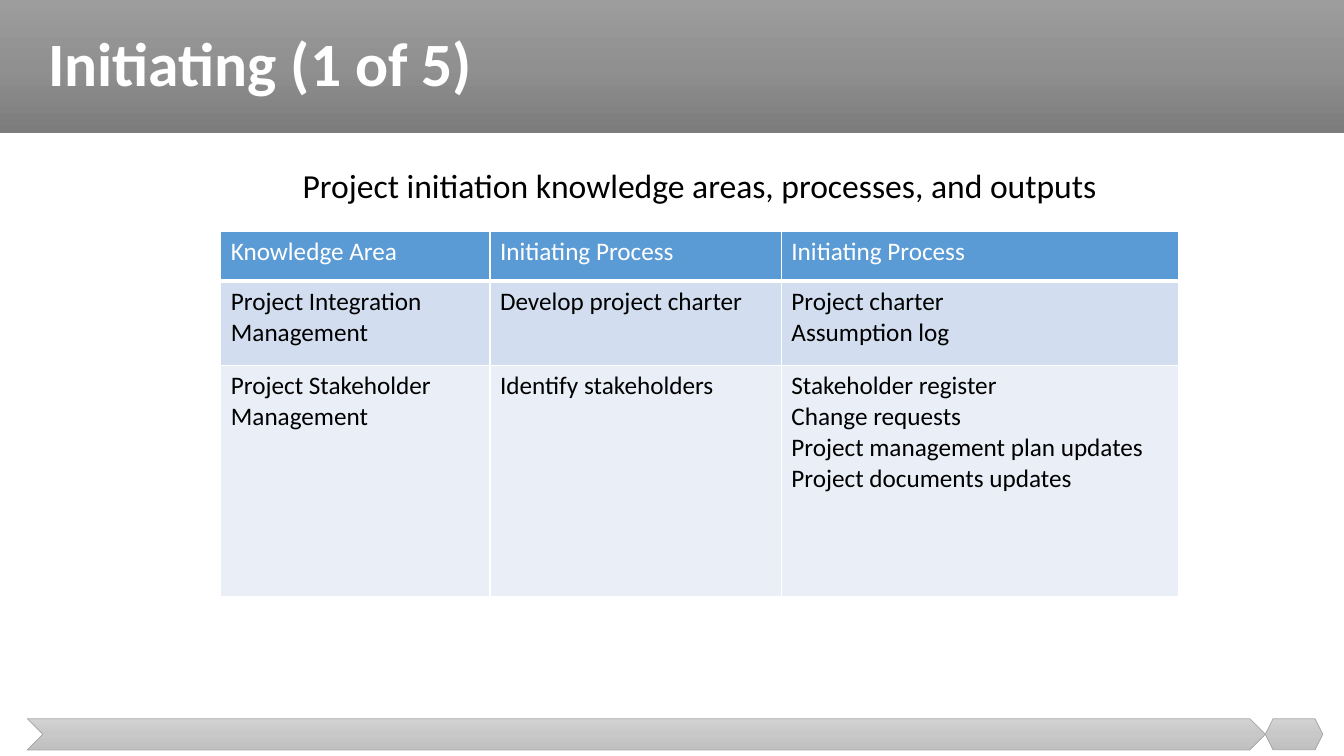
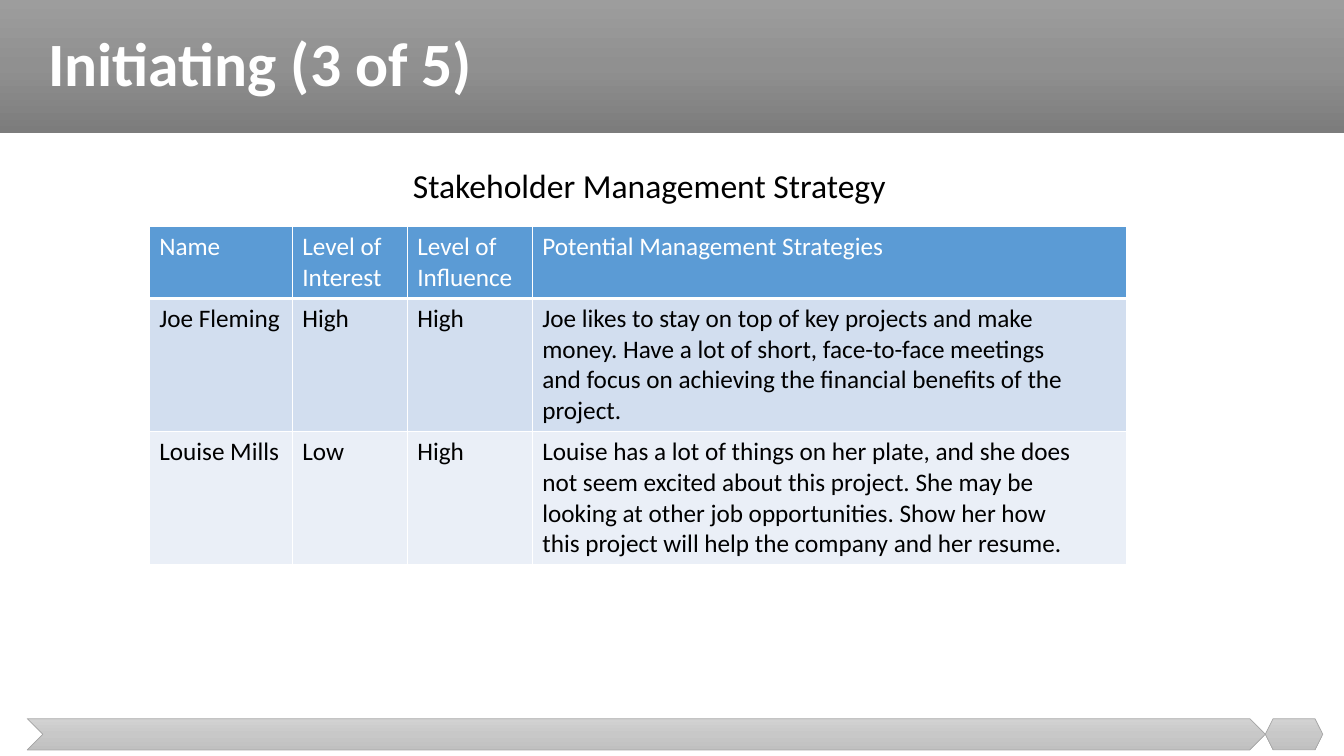
from copy import deepcopy

from pptx import Presentation
from pptx import util as u
from pptx.dml.color import RGBColor
from pptx.enum import shapes, text
from pptx.oxml import parse_xml
from pptx.oxml.ns import nsdecls, qn

WHITE = RGBColor(0xFF, 0xFF, 0xFF)
BLACK = RGBColor(0x00, 0x00, 0x00)
HEADER_BLUE = RGBColor(0x5B, 0x9B, 0xD5)
ROW_BLUES = (RGBColor(0xD2, 0xDE, 0xEF), RGBColor(0xEA, 0xEF, 0xF7))
BAND_GREYS = (RGBColor(0x9D, 0x9D, 0x9D), RGBColor(0x90, 0x90, 0x90), RGBColor(0x7C, 0x7C, 0x7C))
FOOTER_GREYS = (RGBColor(0xD2, 0xD2, 0xD2), RGBColor(0xC8, 0xC8, 0xC8), RGBColor(0xC0, 0xC0, 0xC0))
FOOTER_LINE = RGBColor(0xA5, 0xA5, 0xA5)

FONT = "Calibri"
TITLE_FONT = {"name": FONT, "size": u.Pt(44), "bold": True}
CAPTION_FONT = {"name": FONT, "size": u.Pt(24)}
CELL_FONT = {"name": FONT, "size": u.Pt(18), "bold": False}

BANDS = (
    (shapes.MSO_SHAPE.RECTANGLE, (0, 0, 13.33, 1.32), BAND_GREYS, None),
    (shapes.MSO_SHAPE.CHEVRON, (0.27, 7.13, 12.28, 0.31), FOOTER_GREYS, FOOTER_LINE),
    (shapes.MSO_SHAPE.HEXAGON, (12.55, 7.13, 0.57, 0.31), FOOTER_GREYS, FOOTER_LINE),
)
TITLE_BOX = {"left": 0.38, "top": 0, "width": 12.74, "height": 1.32}

SLIDES = (
    {
        "title": "Initiating (1 of 5)",
        "caption": "Project initiation knowledge areas, processes, and outputs",
        "caption_box": (2.19, 1.59, 9.5, 0.5),
        "table_origin": (2.19, 2.3),
        "columns": (2.67, 2.89, 3.94),
        "rows": (0.49, 0.84, 2.29),
        "cells": (
            ("Knowledge Area", "Initiating Process", "Initiating Process"),
            ("Project Integration\nManagement", "Develop project charter",
             "Project charter\nAssumption log"),
            ("Project Stakeholder\nManagement", "Identify stakeholders",
             "Stakeholder register\nChange requests\n"
             "Project management plan updates\nProject documents updates"),
        ),
    },
    {
        "title": "Initiating (3 of 5)",
        "caption": "Stakeholder Management Strategy",
        "caption_box": (2.35, 1.59, 8.18, 0.5),
        "table_origin": (1.48, 2.25),
        "columns": (1.42, 1.14, 1.24, 5.89),
        "rows": (0.67, 0.41, 0.41),
        "cells": (
            ("Name", "Level of\nInterest", "Level of\nInfluence", "Potential Management Strategies"),
            ("Joe Fleming", "High", "High",
             "Joe likes to stay on top of key projects and make\n"
             "money. Have a lot of short, face-to-face meetings\n"
             "and focus on achieving the financial benefits of the\nproject."),
            ("Louise Mills", "Low", "High",
             "Louise has a lot of things on her plate, and she does\n"
             "not seem excited about this project. She may be\n"
             "looking at other job opportunities. Show her how\n"
             "this project will help the company and her resume."),
        ),
    },
)


def inches(values):
    return [u.Inches(value) for value in values]


def set_attributes(target, values):
    for name, value in values.items():
        setattr(target, name, value)


def write_text(frame, content, font_format, color, alignment=text.PP_ALIGN.LEFT):
    frame.text = content
    for paragraph in frame.paragraphs:
        paragraph.alignment = alignment
        for run in paragraph.runs:
            set_attributes(run.font, font_format)
            run.font.color.rgb = color


def fill_gradient(shape, colors):
    shape.fill.gradient()
    shape.fill.gradient_angle = 270
    stop_list = shape.element.spPr.find(".//" + qn("a:gsLst"))
    stop_list.insert(1, deepcopy(stop_list[0]))
    for index, (stop, color) in enumerate(zip(shape.fill.gradient_stops, colors)):
        stop.color.rgb = color
        stop.position = index / 2


def add_band(slide, kind, box, colors, line_color):
    shape = slide.shapes.add_shape(kind, *inches(box))
    shape.shadow.inherit = False
    fill_gradient(shape, colors)
    if line_color is None:
        shape.line.fill.background()
    else:
        shape.line.color.rgb = line_color
        shape.line.width = u.Pt(0.5)
    return shape


def prepare_layout(layout, slide):
    for placeholder in list(layout.placeholders):
        if placeholder.placeholder_format.type == shapes.PP_PLACEHOLDER.TITLE:
            set_attributes(placeholder, {name: u.Inches(value) for name, value in TITLE_BOX.items()})
        else:
            layout.shapes.element.remove(placeholder.element)
    for index, band in enumerate(BANDS):
        layout.shapes.element.insert(2 + index, add_band(slide, *band).element)


def add_title(slide, content):
    frame = slide.shapes.title.text_frame
    set_attributes(frame, {"vertical_anchor": text.MSO_ANCHOR.MIDDLE, "word_wrap": True})
    write_text(frame, content, TITLE_FONT, WHITE)
    frame.paragraphs[0].line_spacing = 0.9


def add_caption(slide, box, content):
    frame = slide.shapes.add_textbox(*inches(box)).text_frame
    set_attributes(frame, {"word_wrap": True, "auto_size": text.MSO_AUTO_SIZE.SHAPE_TO_FIT_TEXT})
    write_text(frame, content, CAPTION_FONT, BLACK, text.PP_ALIGN.CENTER)


def set_borders(cell, bottom_width):
    properties = cell._tc.get_or_add_tcPr()
    for side, width in (("L", 1), ("R", 1), ("T", 1), ("B", bottom_width)):
        properties.append(parse_xml(
            f'<a:ln{side} {nsdecls("a")} w="{u.Pt(width)}"><a:solidFill>'
            f'<a:srgbClr val="{WHITE}"/></a:solidFill></a:ln{side}>'))


def add_grid(slide, origin, columns, rows, cells):
    box = (*origin, sum(columns), sum(rows))
    table = slide.shapes.add_table(len(rows), len(columns), *inches(box)).table
    for column, width in zip(table.columns, inches(columns)):
        column.width = width
    for row_index, (row, height) in enumerate(zip(table.rows, inches(rows))):
        row.height = height
        is_header = row_index == 0
        for cell, content in zip(row.cells, cells[row_index]):
            set_borders(cell, 3 if is_header else 1)
            cell.fill.solid()
            cell.fill.fore_color.rgb = HEADER_BLUE if is_header else ROW_BLUES[(row_index - 1) % 2]
            write_text(cell.text_frame, content, CELL_FONT, WHITE if is_header else BLACK)


def add_table_slide(slide, content):
    add_title(slide, content["title"])
    add_grid(slide, content["table_origin"], content["columns"], content["rows"], content["cells"])
    add_caption(slide, content["caption_box"], content["caption"])


def main():
    presentation = Presentation()
    presentation.slide_width, presentation.slide_height = inches((13.33, 7.5))
    layout = presentation.slide_layouts[5]
    slides = [presentation.slides.add_slide(layout) for _ in SLIDES]
    prepare_layout(layout, slides[0])
    for slide, content in zip(slides, SLIDES):
        add_table_slide(slide, content)
    presentation.save("out.pptx")


if __name__ == "__main__":
    main()
